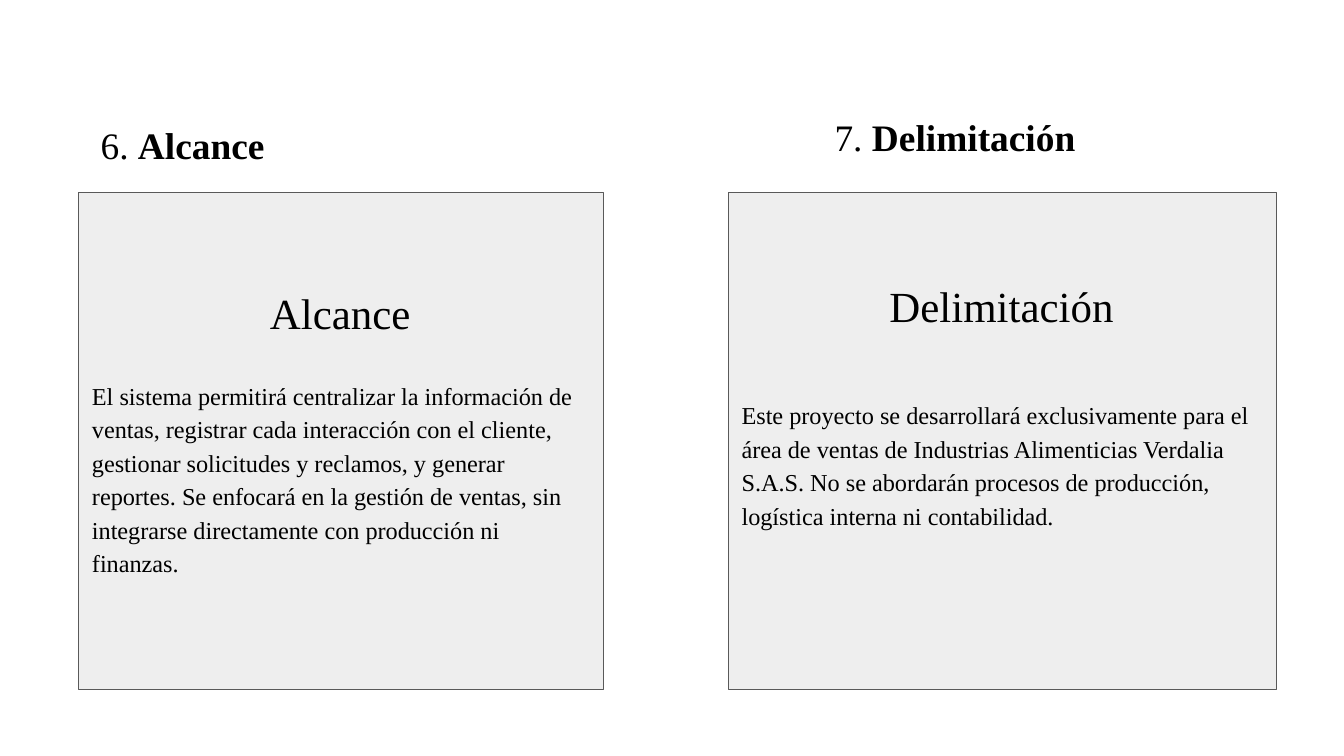
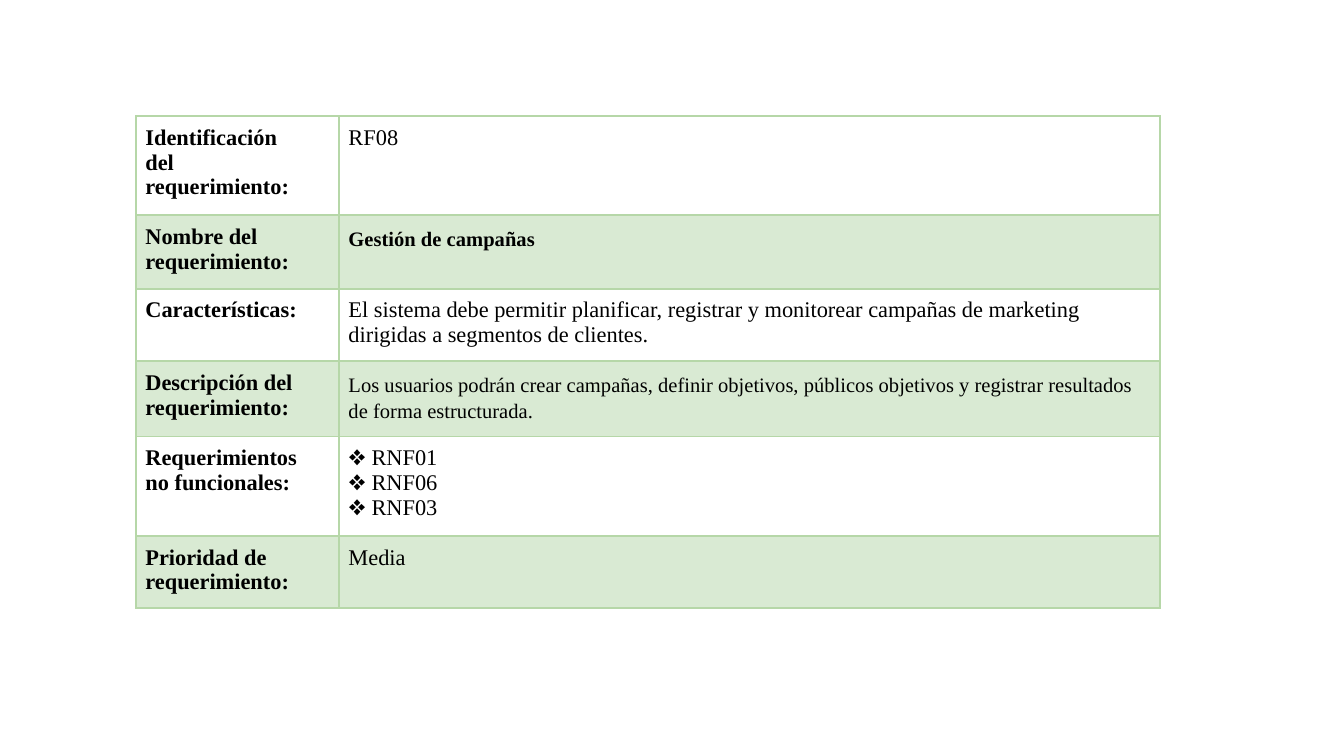
from lxml import etree
from pptx import Presentation
from pptx.dml.color import RGBColor
from pptx.enum import shapes, text
from pptx.oxml import ns
from pptx.util import Pt

# Shared look
FONT = "Times New Roman"
BLACK = "000000"
CARD_FILL, CARD_LINE = "EEEEEE", "595959"
BAND_FILL, GRID_LINE = "D9EAD3", "B6D7A8"
INSET = 7.2
CELL_INSET = 5
CARD_TOP, CARD_HEIGHT = 103, 266.4

# Requirement sheet: label lines, value lines, value size, value bold, row height
REQUIREMENT = [
    (["Identificación", "del", "requerimiento:"], ["RF08"], 12, False, 51.4),
    (["Nombre del", "requerimiento:"], ["Gestión de campañas"], 11, True, 39.4),
    (["Características:"],
     ["El sistema debe permitir planificar, registrar y monitorear campañas de "
      "marketing dirigidas a segmentos de clientes."], 12, False, 36.7),
    (["Descripción del", "requerimiento:"],
     ["Los usuarios podrán crear campañas, definir objetivos, públicos objetivos "
      "y registrar resultados de forma estructurada."], 11, False, 38),
    (["Requerimientos", "no funcionales:"],
     ["❖ RNF01", "❖ RNF06", "❖ RNF03"], 12, False, 49.8),
    (["Prioridad de", "requerimiento:"], ["Media"], 12, False, 37.5),
]


def color(hex_code):
    return RGBColor.from_string(hex_code)


def add_run(paragraph, words, size, bold=False):
    run = paragraph.add_run()
    run.text = words
    run.font.name = FONT
    run.font.size = Pt(size)
    run.font.bold = bold
    run.font.color.rgb = color(BLACK)


def set_margins(holder, inset):
    holder.margin_left = holder.margin_right = Pt(inset)
    holder.margin_top = holder.margin_bottom = Pt(inset)


def add_label(slide, left, top, width, height, size, runs):
    """Text box with one line made of (words, bold) runs."""
    box = slide.shapes.add_textbox(Pt(left), Pt(top), Pt(width), Pt(height))
    frame = box.text_frame
    frame.word_wrap = True
    set_margins(frame, INSET)
    for words, bold in runs:
        add_run(frame.paragraphs[0], words, size, bold)


def add_card(slide, left, width, top_inset, body):
    card = slide.shapes.add_shape(shapes.MSO_SHAPE.RECTANGLE, Pt(left),
                                  Pt(CARD_TOP), Pt(width), Pt(CARD_HEIGHT))
    card.shadow.inherit = False
    card.fill.solid()
    card.fill.fore_color.rgb = color(CARD_FILL)
    card.line.color.rgb = color(CARD_LINE)
    card.line.width = Pt(0.75)
    frame = card.text_frame
    frame.word_wrap = True
    frame.vertical_anchor = text.MSO_ANCHOR.MIDDLE
    set_margins(frame, INSET)
    frame.margin_top = Pt(top_inset)  # keeps the body below the card's heading
    paragraph = frame.paragraphs[0]
    paragraph.alignment = text.PP_ALIGN.LEFT
    paragraph.line_spacing = 1.15
    add_run(paragraph, body, 13)


def set_borders(cell):
    properties = cell._tc.get_or_add_tcPr()
    for position, side in enumerate(("a:lnL", "a:lnR", "a:lnT", "a:lnB")):
        line = etree.Element(ns.qn(side), w=str(Pt(1)))
        fill = etree.SubElement(line, ns.qn("a:solidFill"))
        etree.SubElement(fill, ns.qn("a:srgbClr"), val=GRID_LINE)
        properties.insert(position, line)


def fill_cell(cell, lines, size, bold, banded):
    set_margins(cell, CELL_INSET)
    if banded:
        cell.fill.solid()
        cell.fill.fore_color.rgb = color(BAND_FILL)
    else:
        cell.fill.background()
    set_borders(cell)
    frame = cell.text_frame
    for index, words in enumerate(lines):
        paragraph = frame.add_paragraph() if index else frame.paragraphs[0]
        if size == 11:
            paragraph.line_spacing = 1.15
        add_run(paragraph, words, size, bold)


def add_requirement_table(slide, left, top, widths):
    heights = [row[-1] for row in REQUIREMENT]
    table = slide.shapes.add_table(len(heights), len(widths), Pt(left), Pt(top),
                                   Pt(sum(widths)), Pt(sum(heights))).table
    table.first_row = table.horz_banding = False
    for column, width in zip(table.columns, widths):
        column.width = Pt(width)
    for index, (label, value, size, bold, height) in enumerate(REQUIREMENT):
        table.rows[index].height = Pt(height)
        banded = index % 2 == 1
        fill_cell(table.cell(index, 0), label, 12, True, banded)
        fill_cell(table.cell(index, 1), value, size, bold, banded)


def main():
    deck = Presentation()
    deck.slide_width, deck.slide_height = Pt(720), Pt(405)
    blank = deck.slide_layouts[6]

    # Scope and limits
    scope = deck.slides.add_slide(blank)
    add_label(scope, 46.8, 58.3, 671, 45.4, 20, [("6. ", False), ("Alcance", True)])
    add_card(scope, 390.2, 293.8, 31,
             "Este proyecto se desarrollará exclusivamente para el área de ventas de "
             "Industrias Alimenticias Verdalia S.A.S. No se abordarán procesos de "
             "producción, logística interna ni contabilidad.")
    add_card(scope, 42.2, 281.2, 46,
             "El sistema permitirá centralizar la información de ventas, registrar "
             "cada interacción con el cliente, gestionar solicitudes y reclamos, y "
             "generar reportes. Se enfocará en la gestión de ventas, sin integrarse "
             "directamente con producción ni finanzas.")
    add_label(scope, 469.4, 142.6, 136.1, 42.5, 23, [("Delimitación", False)])
    add_label(scope, 137.5, 146.2, 91.4, 42.5, 23, [("Alcance", False)])
    add_label(scope, 440, 54, 159, 45.4, 20, [("7. ", False), ("Delimitación", True)])

    # Requirement RF08
    requirement = deck.slides.add_slide(blank)
    add_requirement_table(requirement, 72.9, 62.1, [108.8, 439.9])

    deck.save("out.pptx")


if __name__ == "__main__":
    main()
